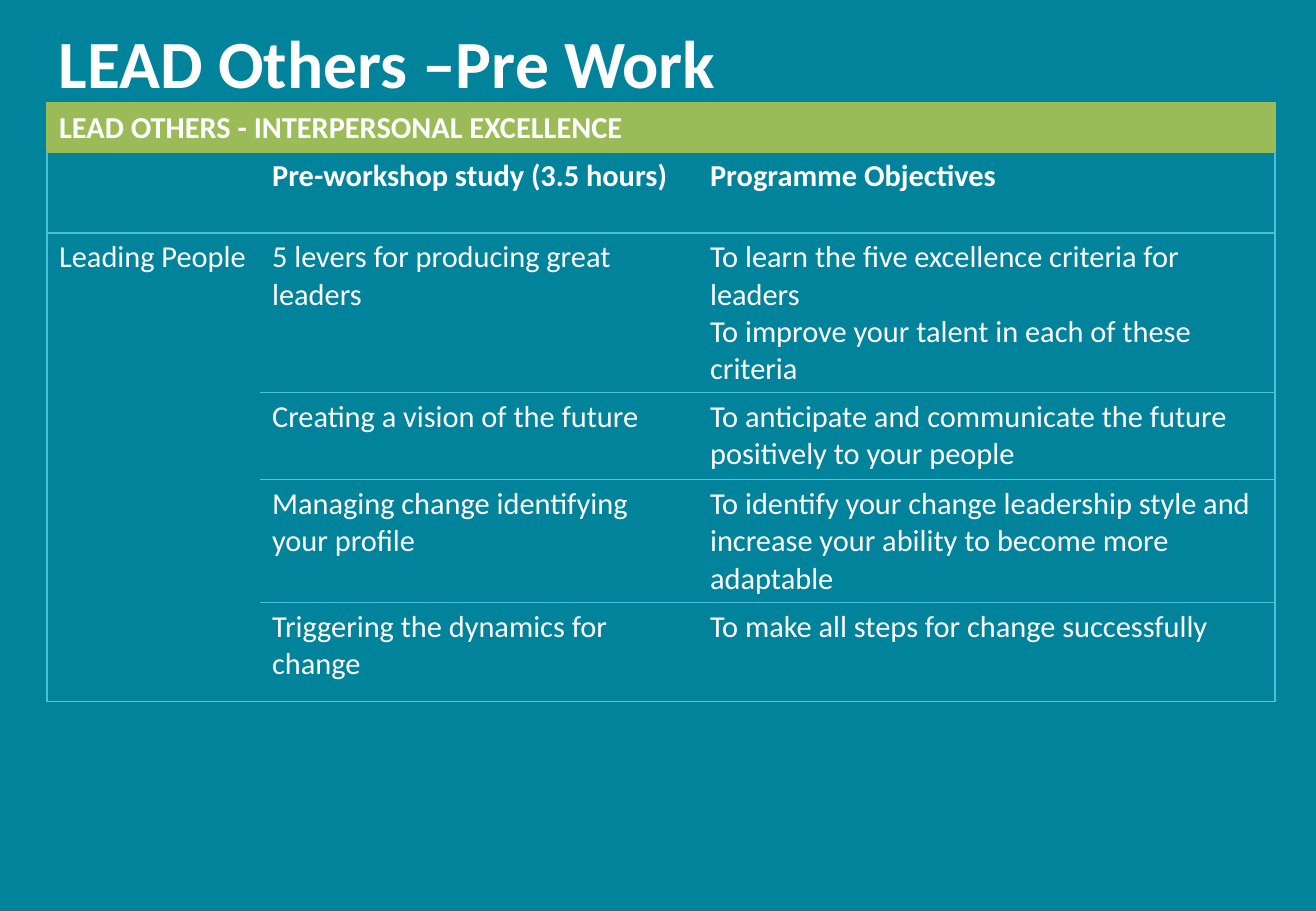
from typing import NamedTuple

import pptx
import pptx.dml.color
import pptx.enum.text
import pptx.oxml.ns
import pptx.slide
import pptx.table
import pptx.text.text
import pptx.util
from lxml import etree

EMU_PER_PX = 914400 / 121.5

TEAL = pptx.dml.color.RGBColor(0x00, 0x83, 0x9B)
GREEN = pptx.dml.color.RGBColor(0x9B, 0xBB, 0x59)
AQUA = pptx.dml.color.RGBColor(0x4B, 0xC0, 0xD4)
WHITE = pptx.dml.color.RGBColor(0xFF, 0xFF, 0xFF)

FONT = "Calibri"
PLAIN_TABLE_STYLE = "{2D5ABB26-0587-4C30-8999-92F81FD0307C}"
RULE_WIDTH = pptx.util.Pt(0.75)
LEFT, TITLE_TOP, TITLE_WIDTH, TITLE_HEIGHT = 47, 16, 1016, 92
TABLE_TOP = 103
COLUMN_WIDTHS = (213, 438, 577)


class ProgrammeRow(NamedTuple):
    height: int
    texts: tuple[str, str, str]
    rule: pptx.dml.color.RGBColor
    bold: bool = False


PROGRAMME = (
    ProgrammeRow(49, ("LEAD OTHERS - INTERPERSONAL EXCELLENCE", "", ""), GREEN, True),
    ProgrammeRow(81, ("", "Pre-workshop study (3.5 hours)", "Programme Objectives"), AQUA, True),
    ProgrammeRow(160, (
        "Leading People",
        "5 levers for producing great leaders",
        "To learn the five excellence criteria for leaders\n"
        "To improve your talent in each of these criteria",
    ), AQUA),
    ProgrammeRow(87, (
        "",
        "Creating a vision of the future",
        "To anticipate and communicate the future positively to your people",
    ), GREEN),
    ProgrammeRow(123, (
        "",
        "Managing change identifying your profile",
        "To identify your change leadership style and increase your ability "
        "to become more adaptable",
    ), AQUA),
    ProgrammeRow(99, (
        "",
        "Triggering the dynamics for change",
        "To make all steps for change successfully",
    ), GREEN),
)
HEADER_ROW, TOPIC_ROW, LAST_ROW = 0, 2, len(PROGRAMME) - 1
LAST_COLUMN = len(COLUMN_WIDTHS) - 1


def px(length: int) -> pptx.util.Emu:
    return pptx.util.Emu(round(length * EMU_PER_PX))


def write_text(frame: pptx.text.text.TextFrame, text: str, size: int, bold: bool) -> None:
    frame.text = text
    for paragraph in frame.paragraphs:
        paragraph.font.size = pptx.util.Pt(size)
        for run in paragraph.runs:
            run.font.name = FONT
            run.font.size = pptx.util.Pt(size)
            run.font.bold = bold
            run.font.color.rgb = WHITE


def cell_rules(row: int, column: int) -> dict[str, pptx.dml.color.RGBColor]:
    """Give the colour of each ruled side, in the order the file format needs."""
    side_colour = GREEN if row == HEADER_ROW else AQUA
    rules = {}
    if column == 0:
        rules["L"] = side_colour
    if column == LAST_COLUMN or row == HEADER_ROW:
        rules["R"] = side_colour
    if row == HEADER_ROW:
        rules["T"] = GREEN
    if column == 0 and row == TOPIC_ROW:
        rules["B"] = PROGRAMME[LAST_ROW].rule
    elif column > 0 or row < TOPIC_ROW or row == LAST_ROW:
        rules["B"] = PROGRAMME[row].rule
    return rules


def draw_rules(cell: pptx.table._Cell, rules: dict[str, pptx.dml.color.RGBColor]) -> None:
    properties = cell._tc.get_or_add_tcPr()
    for side, colour in rules.items():
        line = etree.SubElement(
            properties, pptx.oxml.ns.qn(f"a:ln{side}"), w=str(int(RULE_WIDTH))
        )
        fill = etree.SubElement(line, pptx.oxml.ns.qn("a:solidFill"))
        etree.SubElement(fill, pptx.oxml.ns.qn("a:srgbClr"), val=str(colour))


def add_title(slide: pptx.slide.Slide) -> None:
    title = slide.shapes.add_textbox(
        px(LEFT), px(TITLE_TOP), px(TITLE_WIDTH), px(TITLE_HEIGHT)
    )
    title.text_frame.word_wrap = True
    title.text_frame.vertical_anchor = pptx.enum.text.MSO_ANCHOR.MIDDLE
    write_text(title.text_frame, "LEAD Others –Pre Work", 40, True)


def add_programme(slide: pptx.slide.Slide) -> None:
    frame = slide.shapes.add_table(
        len(PROGRAMME), len(COLUMN_WIDTHS), px(LEFT), px(TABLE_TOP),
        px(sum(COLUMN_WIDTHS)), px(sum(row.height for row in PROGRAMME)),
    )
    table = frame.table
    table.first_row = False
    table.horz_banding = False
    table._tbl.tblPr.find(pptx.oxml.ns.qn("a:tableStyleId")).text = PLAIN_TABLE_STYLE

    for column, width in zip(table.columns, COLUMN_WIDTHS):
        column.width = px(width)
    table.cell(HEADER_ROW, 0).merge(table.cell(HEADER_ROW, LAST_COLUMN))
    table.cell(TOPIC_ROW, 0).merge(table.cell(LAST_ROW, 0))

    for row, entry in enumerate(PROGRAMME):
        table.rows[row].height = px(entry.height)
        for column, text in enumerate(entry.texts):
            cell = table.cell(row, column)
            write_text(cell.text_frame, text, 18, entry.bold)
            draw_rules(cell, cell_rules(row, column))
            if row == HEADER_ROW:
                cell.fill.solid()
                cell.fill.fore_color.rgb = GREEN
            else:
                cell.fill.background()


def main() -> None:
    presentation = pptx.Presentation()
    presentation.slide_width = px(1316)
    presentation.slide_height = px(911)
    slide = presentation.slides.add_slide(presentation.slide_layouts[6])
    slide.background.fill.solid()
    slide.background.fill.fore_color.rgb = TEAL
    add_title(slide)
    add_programme(slide)
    presentation.save("out.pptx")


if __name__ == "__main__":
    main()
